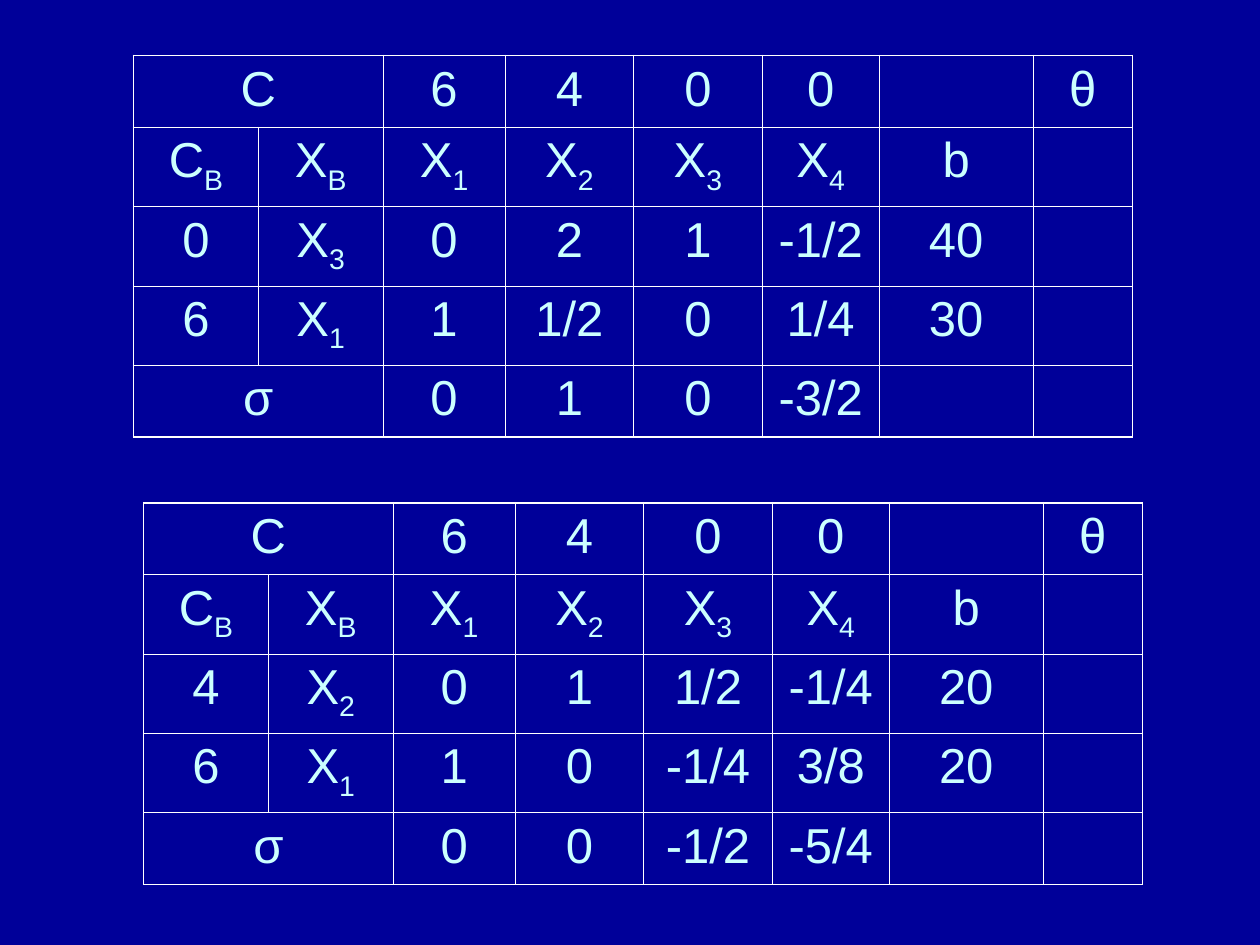
from lxml import etree
from pptx import Presentation
from pptx import util as u
from pptx.dml.color import RGBColor
from pptx.enum import text
from pptx.oxml.ns import qn

COLORS = {"background": "000099", "text": "CCFFFF", "border": "FFFFFF"}
COLUMN_WIDTHS = [0.99, 0.99, 0.97, 1.02, 1.02, 0.93, 1.22, 0.79]
ROW_HEIGHTS = [0.57, 0.63, 0.63, 0.63, 0.57]
INNER_BORDER, OUTER_BORDER = 0.45, 1.08

# An underscore marks the start of a subscript.
HEADINGS = [
    ["C", "", "6", "4", "0", "0", "", "θ"],
    ["C_B", "X_B", "X_1", "X_2", "X_3", "X_4", "b", ""],
]
FIRST_STEP = [
    ["0", "X_3", "0", "2", "1", "-1/2", "40", ""],
    ["6", "X_1", "1", "1/2", "0", "1/4", "30", ""],
    ["σ", "", "0", "1", "0", "-3/2", "", ""],
]
SECOND_STEP = [
    ["4", "X_2", "0", "1", "1/2", "-1/4", "20", ""],
    ["6", "X_1", "1", "0", "-1/4", "3/8", "20", ""],
    ["σ", "", "0", "0", "-1/2", "-5/4", "", ""],
]


def write(frame, label, size=28, font="Arial", color="text", align=text.PP_ALIGN.CENTER):
    paragraph = frame.paragraphs[0]
    paragraph.alignment = align
    base, _, subscript = label.partition("_")
    for part, baseline in ((base, 0), (subscript, -25000)):
        if not part:
            continue
        run = paragraph.add_run()
        run.text = part
        run.font.size = u.Pt(size)
        run.font.name = font
        run.font.color.rgb = RGBColor.from_string(COLORS[color])
        if baseline:
            run.font._element.set("baseline", str(baseline))


def draw_borders(cell, widths):
    """Line the left, right, top and bottom sides with widths in points."""
    properties = cell._tc.get_or_add_tcPr()
    for position, (side, width) in enumerate(zip("LRTB", widths)):
        line = etree.Element(qn(f"a:ln{side}"), w=str(u.Pt(width)))
        fill = etree.SubElement(line, qn("a:solidFill"))
        etree.SubElement(fill, qn("a:srgbClr"), val=COLORS["border"])
        properties.insert(position, line)


def add_simplex_table(slide, left, top, step):
    rows = HEADINGS + step
    last_row, last_column = len(rows) - 1, len(COLUMN_WIDTHS) - 1
    table = slide.shapes.add_table(
        len(rows), len(COLUMN_WIDTHS), u.Inches(left), u.Inches(top),
        u.Inches(sum(COLUMN_WIDTHS)), u.Inches(sum(ROW_HEIGHTS))).table
    table.first_row = table.horz_banding = False
    for column, width in zip(table.columns, COLUMN_WIDTHS):
        column.width = u.Inches(width)
    for row, height in zip(table.rows, ROW_HEIGHTS):
        row.height = u.Inches(height)

    for r, labels in enumerate(rows):
        for c, label in enumerate(labels):
            cell = table.cell(r, c)
            cell.fill.background()
            write(cell.text_frame, label)
            on_edge = (c == 0, c == last_column, r == 0, r == last_row)
            draw_borders(cell, [OUTER_BORDER if edge else INNER_BORDER for edge in on_edge])
    for r in (0, last_row):
        table.cell(r, 0).merge(table.cell(r, 1))


def main():
    deck = Presentation()
    deck.slide_width, deck.slide_height = u.Inches(10), u.Inches(7.5)
    slide = deck.slides.add_slide(deck.slide_layouts[6])
    slide.background.fill.solid()
    slide.background.fill.fore_color.rgb = RGBColor.from_string(COLORS["background"])
    add_simplex_table(slide, 1.06, 0.44, FIRST_STEP)
    add_simplex_table(slide, 1.14, 3.99, SECOND_STEP)
    deck.save("out.pptx")


if __name__ == "__main__":
    main()
